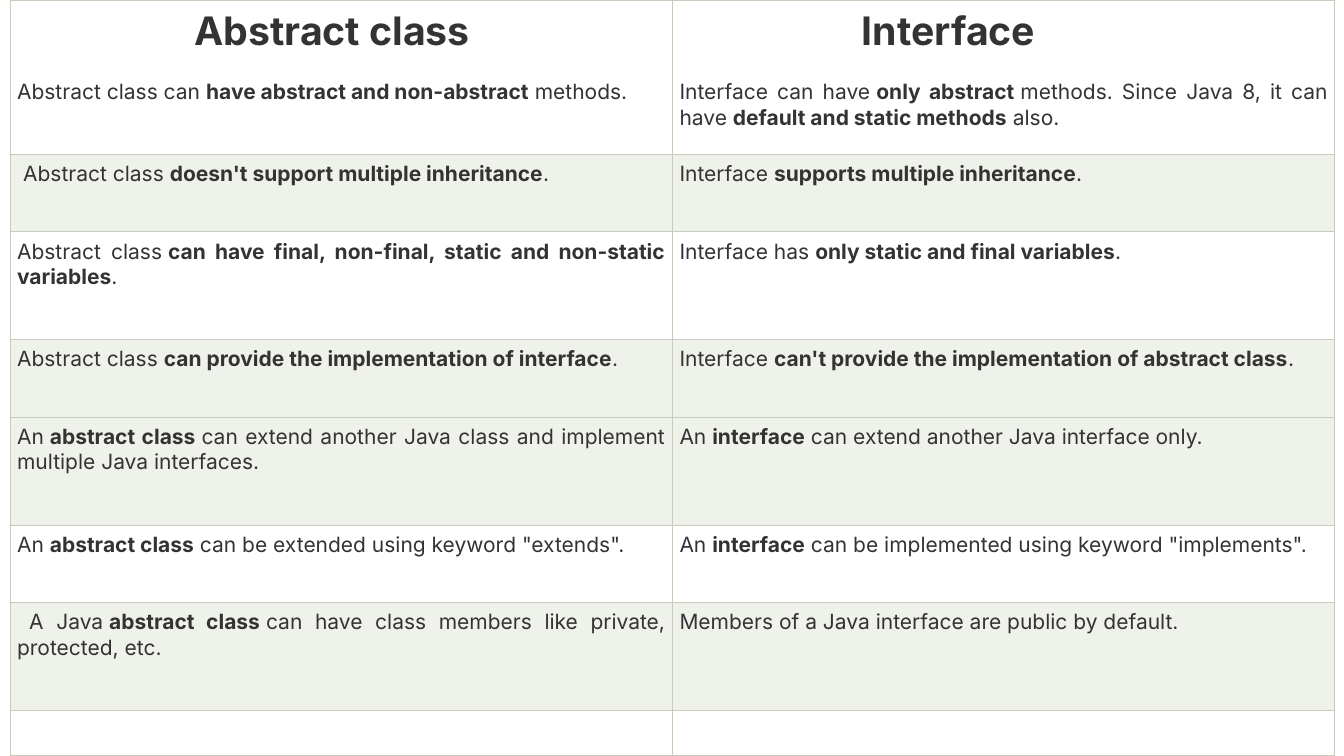
from dataclasses import dataclass

from lxml import etree
from pptx import Presentation
from pptx import util as u
from pptx.dml.color import RGBColor
from pptx.enum import text
from pptx.oxml import ns

HEADINGS = [("Abstract class", 1.76), ("Interface", 1.81)]

ROWS = [
    (1.53, "white", "Abstract class can |have abstract and non-abstract| methods.",
     "Interface can have |only abstract| methods. Since Java 8, it can have "
     "|default and static methods| also."),
    (0.77, "tint", "Abstract class |doesn't support multiple inheritance|.",
     "Interface |supports multiple inheritance|."),
    (1.07, "white", "Abstract class |can have final, non-final, static and non-static variables|.",
     "Interface has |only static and final variables|."),
    (0.77, "tint", "Abstract class |can provide the implementation of interface|.",
     "Interface |can't provide the implementation of abstract class|."),
    (1.07, "tint", "An |abstract class| can extend another Java class and implement "
     "multiple Java interfaces.",
     "An |interface| can extend another Java interface only."),
    (0.77, "white", 'An |abstract class| can be extended using keyword "extends".',
     'An |interface| can be implemented using keyword "implements".'),
    (1.07, "tint", "A Java |abstract class| can have class members like private, protected, etc.",
     "Members of a Java interface are public by default."),
    (0.44, "white", "", ""),
]
FIRST_LINE_INDENTS = {(1, 0): 0.06, (6, 0): 0.12}


@dataclass(frozen=True)
class Theme:
    white: str = "FFFFFF"
    tint: str = "EFF1EB"
    ink: str = "333333"
    border: str = "C7CCBE"
    font: str = "Inter"
    body: int = 15
    heading: int = 28
    line: float = 0.75
    gap: int = 18
    margin: float = 0.07


THEME = Theme()


def add_span(para, words, size, bold):
    span = para.add_run()
    span.text = words
    for name, value in {"name": THEME.font, "size": u.Pt(size), "bold": bold}.items():
        setattr(span.font, name, value)
    span.font.color.rgb = RGBColor.from_string(THEME.ink)


def indent_first_line(para, inches):
    para._p.get_or_add_pPr().set("indent", str(u.Inches(inches)))


def write_sentence(para, sentence):
    para.alignment = text.PP_ALIGN.JUSTIFY
    joined = sentence.replace(" |", "\u00a0|").replace("| ", "|\u00a0")
    for index, words in enumerate(joined.split("|")):
        add_span(para, words, THEME.body, index % 2 == 1)


def style_cell(cell, fill):
    for side in ("left", "right", "top", "bottom"):
        setattr(cell, f"margin_{side}", u.Inches(THEME.margin))
    cell.fill.solid()
    cell.fill.fore_color.rgb = RGBColor.from_string(fill)
    properties = cell._tc.get_or_add_tcPr()
    for index, edge in enumerate(("lnL", "lnR", "lnT", "lnB")):
        line = etree.Element(ns.qn(f"a:{edge}"), w=str(u.Pt(THEME.line)))
        solid = etree.SubElement(line, ns.qn("a:solidFill"))
        etree.SubElement(solid, ns.qn("a:srgbClr"), val=THEME.border)
        properties.insert(index, line)


deck = Presentation()
deck.slide_width, deck.slide_height = u.Inches(13.33), u.Inches(7.5)
page = deck.slides.add_slide(deck.slide_layouts[6])
table = page.shapes.add_table(
    len(ROWS), len(HEADINGS), u.Inches(0.1), 0, u.Inches(13.14), u.Inches(7.49)
).table
table.first_row = table.horz_banding = False

for row, (height, fill, *sentences) in enumerate(ROWS):
    table.rows[row].height = u.Inches(height)
    for column, sentence in enumerate(sentences):
        cell = table.cell(row, column)
        style_cell(cell, getattr(THEME, fill))
        para = cell.text_frame.paragraphs[0]
        if row == 0:
            heading, indent = HEADINGS[column]
            add_span(para, heading, THEME.heading, True)
            indent_first_line(para, indent)
            para.space_after = u.Pt(THEME.gap)
            para = cell.text_frame.add_paragraph()
        if sentence:
            write_sentence(para, sentence)
        if (row, column) in FIRST_LINE_INDENTS:
            indent_first_line(para, FIRST_LINE_INDENTS[row, column])

deck.save("out.pptx")
